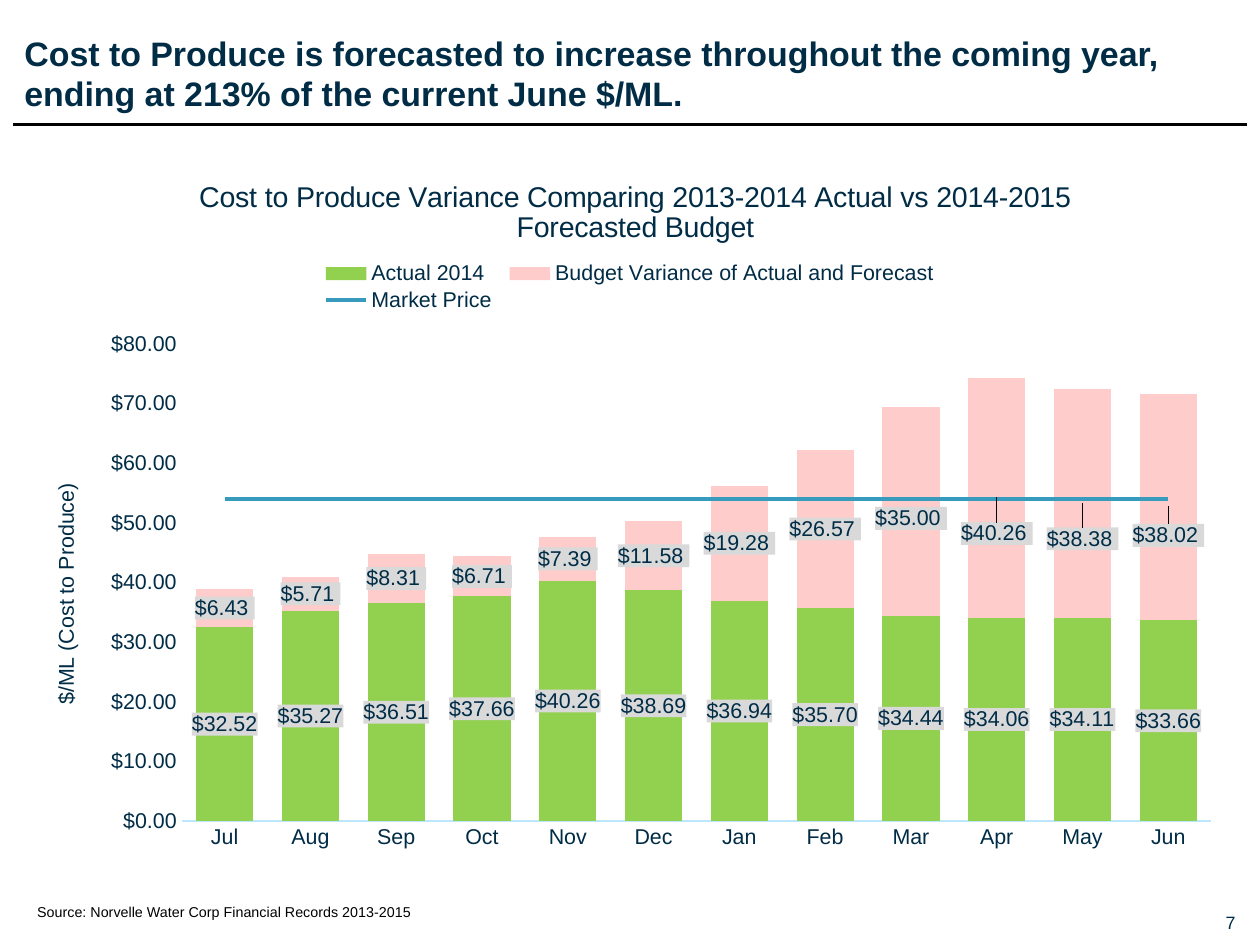
import copy

import pptx
import pptx.chart.data
import pptx.dml.color
import pptx.enum.chart
import pptx.enum.shapes
import pptx.enum.text
import pptx.oxml
import pptx.oxml.ns
import pptx.util

RGB = pptx.dml.color.RGBColor
NAVY = RGB(0x00, 0x2C, 0x46)
BLACK = RGB(0x00, 0x00, 0x00)
GREEN = RGB(0x92, 0xD0, 0x50)
PINK = RGB(0xFF, 0xCC, 0xCC)
BLUE = RGB(0x37, 0x9B, 0xBD)
PALE_BLUE = RGB(0xBD, 0xE6, 0xFF)
LABEL_GRAY = RGB(0xD9, 0xD9, 0xD9)

WIDTH, HEIGHT = 9.8, 7.35
MARGIN = 0.19
CONTENT_WIDTH = WIDTH - 2 * MARGIN
FONT = "Arial"
MONEY = '"$"#,##0.00;[Red]\\-"$"#,##0.00'
MONEY_PADDED = '"$"#,##0.00_);[Red]\\("$"#,##0.00\\)'

MONTHS = "Jul Aug Sep Oct Nov Dec Jan Feb Mar Apr May Jun".split()
ACTUAL = (32.52, 35.27, 36.51, 37.66, 40.26, 38.69,
          36.94, 35.70, 34.44, 34.06, 34.11, 33.66)
VARIANCE = (6.43, 5.71, 8.31, 6.71, 7.39, 11.58,
            19.28, 26.57, 35.00, 40.26, 38.38, 38.02)
MARKET_PRICE = (54,) * len(MONTHS)
# Downward label shifts that clear the market price line, as shares of chart height
LABEL_SHIFTS = {"Mar": 0.01, "Apr": 0.05, "May": 0.05, "Jun": 0.04}


def inches(*lengths):
    """Convert lengths in inches to slide units."""
    return [pptx.util.Inches(length) for length in lengths]


def format_font(font, size, color=NAVY, **values):
    """Set the font, size and colour, plus any further font values."""
    settings = {"name": FONT, "size": pptx.util.Pt(size), "bold": False, **values}
    for name, value in settings.items():
        setattr(font, name, value)
    font.color.rgb = color


def fill_text(frame, text, size, color=NAVY, align="LEFT", bold=False, **values):
    """Write one formatted paragraph into a text frame."""
    for name, value in {"word_wrap": True, **values}.items():
        setattr(frame, name, value)
    para = frame.paragraphs[0]
    para.alignment = getattr(pptx.enum.text.PP_ALIGN, align)
    span = para.add_run()
    span.text = text
    format_font(span.font, size, color, bold=bold)


def add_text(slide, place, text, size, **values):
    """Add a text box at left, top, width, height."""
    box = slide.shapes.add_textbox(*inches(*place))
    fill_text(box.text_frame, text, size, **values)


def add_rule(slide, left, right, top):
    """Draw the horizontal rule below the title."""
    rule = slide.shapes.add_connector(
        pptx.enum.shapes.MSO_CONNECTOR.STRAIGHT, *inches(left, top, right, top))
    rule.line.color.rgb = BLACK
    rule.line.width = pptx.util.Pt(2)
    properties = rule._element.spPr
    properties.append(pptx.oxml.xmlchemy.OxmlElement("a:effectLst"))


def chart_element(tag, value=None):
    """Make a chart XML element with an optional val attribute."""
    element = pptx.oxml.xmlchemy.OxmlElement("c:" + tag)
    if value is not None:
        element.set("val", str(value))
    return element


def set_layout(parent, **values):
    """Place a chart part by shares of the chart's size."""
    qn = pptx.oxml.ns.qn
    for old in parent.findall(qn("c:layout")):
        parent.remove(old)
    layout, manual = chart_element("layout"), chart_element("manualLayout")
    layout.append(manual)
    for name, value in values.items():
        manual.append(chart_element(name, value))
    leaders = {qn("c:tx"), qn("c:legendPos"), qn("c:idx")}
    parent.insert(int(len(parent) > 0 and parent[0].tag in leaders), layout)


def add_labels(series, number_format):
    """Show values on gray boxes and return the labels element."""
    labels = series.data_labels
    settings = {"show_value": True, "number_format": number_format,
                "number_format_is_linked": False,
                "position": pptx.enum.chart.XL_LABEL_POSITION.CENTER}
    for name, value in settings.items():
        setattr(labels, name, value)
    format_font(labels.font, 12)
    element = labels._element
    element.find(pptx.oxml.ns.qn("c:numFmt")).addnext(pptx.oxml.parse_xml(
        f'<c:spPr {pptx.oxml.ns.nsdecls("c", "a")}><a:solidFill>'
        f'<a:srgbClr val="{LABEL_GRAY}"/></a:solidFill></c:spPr>'))
    return element


def shift_labels(labels, shifts):
    """Move single labels down by a share of the chart height."""
    shared = [part for part in labels
              if part.tag != pptx.oxml.ns.qn("c:showLeaderLines")]
    for position, (month, shift) in enumerate(shifts.items()):
        label = chart_element("dLbl")
        label.append(chart_element("idx", MONTHS.index(month)))
        label.extend(copy.deepcopy(part) for part in shared)
        set_layout(label, x=0, y=shift)
        labels.insert(position, label)


def move_to_line(chart, series):
    """Move a column series to a line plot on the same axes."""
    qn = pptx.oxml.ns.qn
    bars, element = chart.plots[0]._element, series._element
    for invert in element.findall(qn("c:invertIfNegative")):
        element.remove(invert)
    lines = chart_element("lineChart")
    lines.append(chart_element("grouping", "standard"))
    lines.append(chart_element("varyColors", 0))
    lines.append(element)
    lines.append(chart_element("marker", 1))
    lines.extend(copy.deepcopy(axis) for axis in bars.findall(qn("c:axId")))
    bars.addnext(lines)
    line_series = chart.plots[1].series[0]
    line_series.smooth = False
    line_series.marker.style = pptx.enum.chart.XL_MARKER_STYLE.NONE
    line_series.format.line.color.rgb = BLUE
    line_series.format.line.width = pptx.util.Pt(2.25)


def format_axes(chart):
    """Format both axes and the value axis title."""
    months, cost = chart.category_axis, chart.value_axis
    for axis in (months, cost):
        axis.major_tick_mark = pptx.enum.chart.XL_TICK_MARK.NONE
        axis.has_major_gridlines = False
        format_font(axis.tick_labels.font, 12)
    months.format.line.color.rgb = PALE_BLUE
    months.format.line.width = pptx.util.Pt(0.75)
    cost.format.line.fill.background()
    for name, value in {"minimum_scale": 0, "maximum_scale": 80, "major_unit": 10}.items():
        setattr(cost, name, value)
    cost.tick_labels.number_format = MONEY
    cost.tick_labels.number_format_is_linked = False
    title = cost.axis_title
    fill_text(title.text_frame, "$/ML (Cost to Produce)", 12, align="CENTER")
    body = title._element.find(".//" + pptx.oxml.ns.qn("a:bodyPr"))
    body.set("rot", "-5400000")
    body.set("vert", "horz")
    set_layout(title._element, xMode="edge", yMode="edge", x=0.02, y=0.46)


def add_cost_chart(slide, place):
    """Add the stacked cost columns with the market price line."""
    data = pptx.chart.data.CategoryChartData()
    data.categories = MONTHS
    data.add_series("Actual 2014", ACTUAL)
    data.add_series("Budget Variance of Actual and Forecast", VARIANCE)
    data.add_series("Market Price", MARKET_PRICE)
    chart = slide.shapes.add_chart(
        pptx.enum.chart.XL_CHART_TYPE.COLUMN_STACKED, *inches(*place), data).chart
    format_font(chart.font, 10)
    plot = chart.plots[0]
    for name, value in {"gap_width": 50, "overlap": 100, "vary_by_categories": False}.items():
        setattr(plot, name, value)
    actual, variance, price = plot.series
    for series, color in ((actual, GREEN), (variance, PINK)):
        series.format.fill.solid()
        series.format.fill.fore_color.rgb = color
    add_labels(actual, MONEY)
    shift_labels(add_labels(variance, MONEY_PADDED), LABEL_SHIFTS)
    move_to_line(chart, price)
    format_axes(chart)

    chart.has_title = True
    fill_text(chart.chart_title.text_frame, "Cost to Produce Variance Comparing "
              "2013-2014 Actual vs 2014-2015 Forecasted Budget", 16, align="CENTER")
    set_layout(chart.chart_title._element, xMode="edge", yMode="edge", x=0.14, y=0.03)
    chart.has_legend = True
    chart.legend.position = pptx.enum.chart.XL_LEGEND_POSITION.TOP
    chart.legend.include_in_layout = False
    format_font(chart.legend.font, 12)
    set_layout(chart.legend._element, xMode="edge", yMode="edge",
               x=0.24, y=0.15, w=0.52, h=0.08)
    set_layout(plot._element.getparent(), layoutTarget="inner", xMode="edge",
               yMode="edge", x=0.13, y=0.27, w=0.85, h=0.67)


def main():
    """Build the cost forecast slide."""
    deck = pptx.Presentation()
    deck.slide_width, deck.slide_height = inches(WIDTH, HEIGHT)
    slide = deck.slides.add_slide(deck.slide_layouts[5])
    flush = dict.fromkeys(
        ("margin_left", "margin_top", "margin_right", "margin_bottom"), 0)

    title = slide.shapes.title
    title.left, title.top, title.width, title.height = inches(
        MARGIN, 0.25, CONTENT_WIDTH, 0.64)
    fill_text(title.text_frame, "Cost to Produce is forecasted to increase throughout "
              "the coming year, ending at 213% of the current June $/ML.", 19, bold=True,
              vertical_anchor=pptx.enum.text.MSO_ANCHOR.TOP,
              auto_size=pptx.enum.text.MSO_AUTO_SIZE.NONE, **flush)
    add_rule(slide, 0.1, WIDTH - 0.1, 0.97)
    add_cost_chart(slide, (MARGIN, 1.18, CONTENT_WIDTH, 5.54))
    add_text(slide, (MARGIN, 6.98, 7.11, 0.24),
             "Source: Norvelle Water Corp Financial Records 2013-2015", 8, color=BLACK)
    add_text(slide, (9.44, 7.09, 0.17, 0.17), "7", 10, align="RIGHT",
             vertical_anchor=pptx.enum.text.MSO_ANCHOR.MIDDLE, **flush)
    deck.save("out.pptx")


main()
